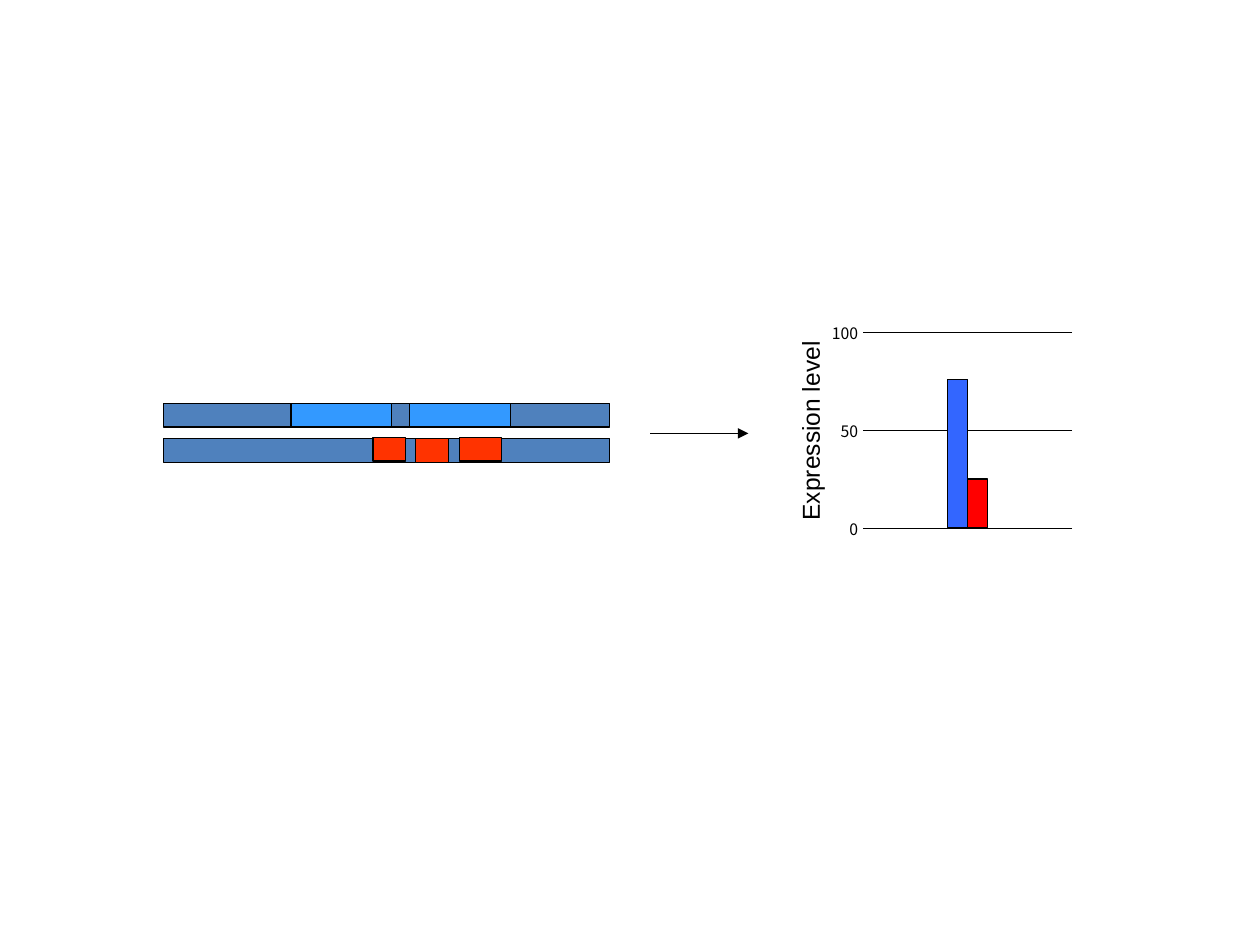
"""Build a slide that links two gene isoforms to their expression levels."""
from dataclasses import dataclass

from lxml import etree
from pptx import Presentation
from pptx.chart.data import CategoryChartData
from pptx.dml.color import RGBColor
from pptx.enum.chart import XL_CHART_TYPE, XL_TICK_LABEL_POSITION, XL_TICK_MARK
from pptx.enum.shapes import MSO_CONNECTOR, MSO_SHAPE
from pptx.enum.text import MSO_ANCHOR, PP_ALIGN
from pptx.oxml.ns import qn
from pptx.util import Inches, Pt

RECTANGLE = MSO_SHAPE.RECTANGLE
STRAIGHT = MSO_CONNECTOR.STRAIGHT
COLUMNS = XL_CHART_TYPE.COLUMN_CLUSTERED
NO_LABELS = XL_TICK_LABEL_POSITION.NONE
NO_TICKS = XL_TICK_MARK.NONE
MIDDLE = MSO_ANCHOR.MIDDLE
CENTER = PP_ALIGN.CENTER


@dataclass(frozen=True)
class Theme:
    ink: str = "000000"
    transcript: str = "4F81BD"
    long_exon: str = "3399FF"
    short_exon: str = "FF3300"
    long_level: str = "3366FF"
    short_level: str = "FF0000"
    label_font: str = "Arial"
    scale_font: str = "Noto Sans CJK JP"
    label_size: float = 14
    scale_size: float = 9
    outline: float = 0.75
    hairline: float = 0.25


def write_text(frame, text, *, font, size, color, align=CENTER):
    paragraph = frame.paragraphs[0]
    paragraph.text = text
    paragraph.alignment = align
    paragraph.font.name = font
    paragraph.font.size = Pt(size)
    paragraph.font.color.rgb = RGBColor.from_string(color)


class Sketch:
    def __init__(self, slide, theme):
        self.slide = slide
        self.theme = theme

    def stroke(self, line, width):
        line.color.rgb = RGBColor.from_string(self.theme.ink)
        line.width = Pt(width)

    def block(self, left, top, width, height, color):
        block = self.slide.shapes.add_shape(
            RECTANGLE, Inches(left), Inches(top), Inches(width), Inches(height))
        block.shadow.inherit = False
        block.fill.solid()
        block.fill.fore_color.rgb = RGBColor.from_string(color)
        self.stroke(block.line, self.theme.outline)

    def arrow(self, start, end, y):
        arrow = self.slide.shapes.add_connector(
            STRAIGHT, Inches(start), Inches(y), Inches(end), Inches(y))
        self.stroke(arrow.line, self.theme.outline)
        etree.SubElement(arrow.line._get_or_add_ln(), qn("a:tailEnd"), type="triangle")
        etree.SubElement(arrow._element.spPr, qn("a:effectLst"))

    def label(self, text, left, top, width, height, rotation=0):
        label = self.slide.shapes.add_textbox(
            Inches(left), Inches(top), Inches(width), Inches(height))
        label.rotation = rotation
        label.text_frame.word_wrap = False
        label.text_frame.vertical_anchor = MIDDLE
        write_text(label.text_frame, text, font=self.theme.label_font,
                   size=self.theme.label_size, color=self.theme.ink)

    def column_chart(self, frame, plot_box, levels):
        data = CategoryChartData()
        data.categories = ["", "", ""]
        for level, _ in levels:
            data.add_series("", (None, level, None))
        chart = self.slide.shapes.add_chart(
            COLUMNS, *(Inches(length) for length in frame), data).chart
        chart.has_legend = False
        chart.has_title = False
        chart.font.name = self.theme.scale_font
        chart.font.size = Pt(self.theme.scale_size)
        chart.font.color.rgb = RGBColor.from_string(self.theme.ink)

        plot = chart.plots[0]
        plot.vary_by_categories = False
        plot.gap_width = 146
        plot.overlap = 0
        for series, (_, color) in zip(plot.series, levels):
            series.format.fill.solid()
            series.format.fill.fore_color.rgb = RGBColor.from_string(color)
            self.stroke(series.format.line, self.theme.outline)

        scale = chart.value_axis
        scale.minimum_scale, scale.maximum_scale, scale.major_unit = 0, 100, 50
        scale.major_tick_mark = NO_TICKS
        scale.tick_labels.number_format = "0"
        scale.tick_labels.number_format_is_linked = False
        scale.format.line.fill.background()
        self.stroke(scale.major_gridlines.format.line, self.theme.hairline)
        baseline = chart.category_axis
        baseline.tick_label_position = NO_LABELS
        baseline.major_tick_mark = NO_TICKS
        self.stroke(baseline.format.line, self.theme.hairline)
        self.place_plot(chart, frame, plot_box)

    def place_plot(self, chart, frame, plot_box):
        left, top, width, height = frame
        x, y, w, h = plot_box
        area = chart._chartSpace.find(".//" + qn("c:plotArea"))
        for layout in area.findall(qn("c:layout")):
            area.remove(layout)
        layout = etree.Element(qn("c:layout"))
        area.insert(0, layout)
        manual = etree.SubElement(layout, qn("c:manualLayout"))
        settings = {
            "layoutTarget": "inner", "xMode": "edge", "yMode": "edge",
            "x": (x - left) / width, "y": (y - top) / height,
            "w": w / width, "h": h / height,
        }
        for tag, value in settings.items():
            etree.SubElement(manual, qn(f"c:{tag}"), val=str(value))


def main():
    theme = Theme()
    deck = Presentation()
    deck.slide_width, deck.slide_height = Inches(10), Inches(7.5)
    sketch = Sketch(deck.slides.add_slide(deck.slide_layouts[6]), theme)

    sketch.column_chart(
        frame=(6.4, 2.4, 2.2, 1.95),
        plot_box=(6.85, 2.64, 1.66, 1.55),
        levels=[(76, theme.long_level), (25, theme.short_level)])
    sketch.label("Expression level", 5.62, 3.25, 1.62, 0.34, rotation=270)
    sketch.arrow(5.16, 5.94, 3.44)

    isoforms = [
        (3.2, theme.long_exon, [(2.31, 3.2, 0.8), (3.25, 3.2, 0.8)]),
        (3.48, theme.short_exon,
         [(3.65, 3.47, 0.33), (3.3, 3.48, 0.26), (2.96, 3.47, 0.26)]),
    ]
    thickness = 0.19
    for transcript_top, color, exons in isoforms:
        sketch.block(1.3, transcript_top, 3.54, thickness, theme.transcript)
        for left, top, width in exons:
            sketch.block(left, top, width, thickness, color)

    deck.save("out.pptx")


if __name__ == "__main__":
    main()
